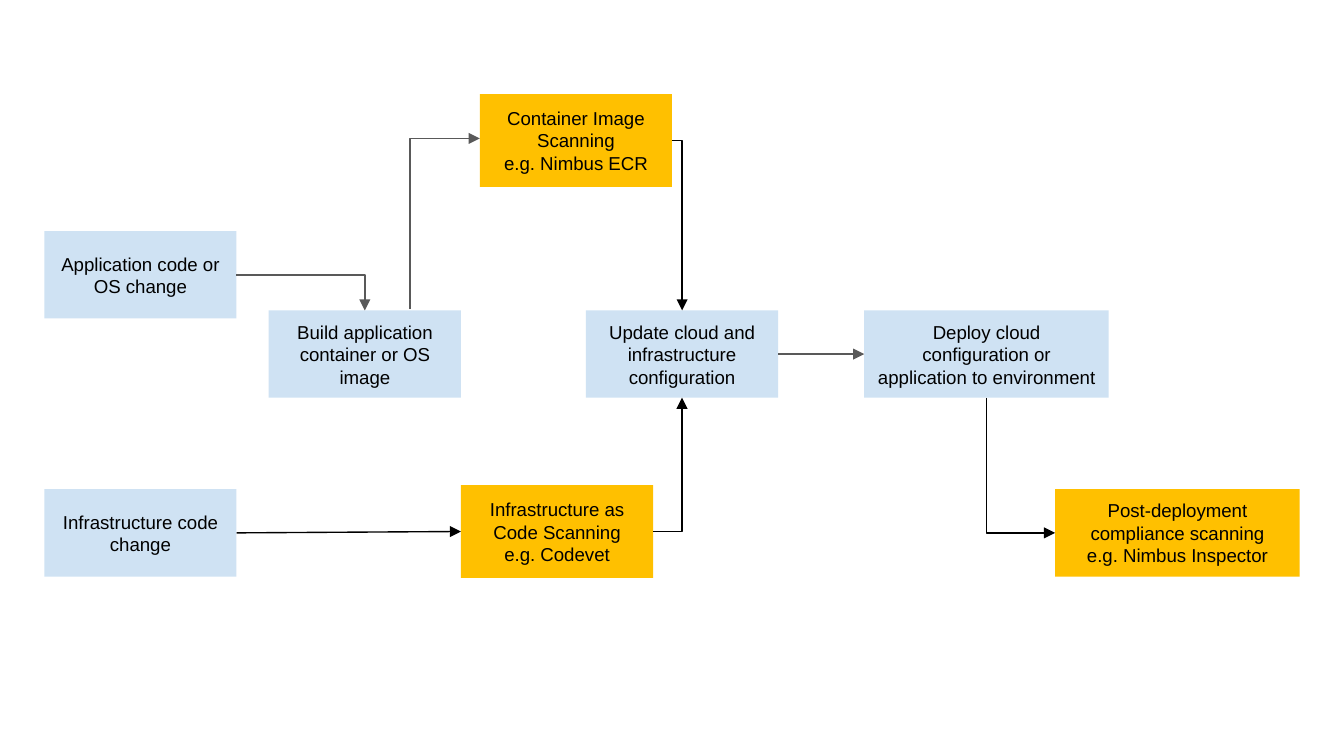
import pptx
import pptx.util
import pptx.dml.color
import pptx.enum.shapes
import pptx.enum.text
import lxml.etree

COLS = 1000
ROWS = COLS * 9 / 16
HUES = {"step": "CFE2F3", "scan": "FFC000", "text": "000000", "dark": "000000", "gray": "595959"}


class Flow:
    """Draws boxes and arrows on one slide, in cells of a fine grid."""

    def __init__(self, deck):
        self.slide = deck.slides.add_slide(deck.slide_layouts[6])
        self.wide = deck.slide_width / COLS
        self.high = deck.slide_height / ROWS
        inset = pptx.util.Inches(0.1)
        self.frame = {
            "word_wrap": True,
            "vertical_anchor": pptx.enum.text.MSO_ANCHOR.MIDDLE,
            "margin_left": inset, "margin_right": inset,
            "margin_top": inset, "margin_bottom": inset,
        }
        self.font = {"name": "Arial", "size": pptx.util.Pt(10)}

    def hue(self, name):
        return pptx.dml.color.RGBColor.from_string(HUES[name])

    def spot(self, x, y):
        return round(x * self.wide), round(y * self.high)

    def put(self, item, values):
        for key, value in values.items():
            setattr(item, key, value)

    def box(self, hue, x, y, w, h, *lines):
        kind = pptx.enum.shapes.MSO_SHAPE.RECTANGLE
        shape = self.slide.shapes.add_shape(kind, *self.spot(x, y), *self.spot(w, h))
        shape.shadow.inherit = False
        shape.fill.solid()
        shape.fill.fore_color.rgb = self.hue(hue)
        shape.line.fill.background()
        frame = shape.text_frame
        self.put(frame, self.frame)
        frame.text = "\n".join(lines)
        for para in frame.paragraphs:
            para.alignment = pptx.enum.text.PP_ALIGN.CENTER
            for run in para.runs:
                self.put(run.font, self.font)
                run.font.color.rgb = self.hue("text")
        return x, y, w, h

    def link(self, hue, start, end, shape="line"):
        (x, y), (u, v) = start, end
        if shape == "rise":
            mid, row, run, drop = (x + u) / 2, (y + v) / 2, (u - x) / 2, (v - y) / 2
            x, y, u, v = mid + drop, row - run, mid - drop, row + run
        kind = pptx.enum.shapes.MSO_CONNECTOR.STRAIGHT
        line = self.slide.shapes.add_connector(kind, *self.spot(x, y), *self.spot(u, v))
        line.line.width = pptx.util.Pt(0.75)
        line.line.color.rgb = self.hue(hue)
        props = line._element.spPr
        if shape != "line":
            props.prstGeom.set("prst", "bentConnector2")
        if shape == "rise":
            props.xfrm.set("rot", str(270 * 60000))
        tag = pptx.oxml.ns.qn
        lxml.etree.SubElement(line.line._get_or_add_ln(), tag("a:tailEnd"), type="triangle")
        lxml.etree.SubElement(props, tag("a:effectLst"))


def side(box, across, down=0.5):
    x, y, w, h = box
    return x + across * w, y + down * h


deck = pptx.Presentation()
deck.slide_width = pptx.util.Inches(10)
deck.slide_height = deck.slide_width * 9 // 16
flow = Flow(deck)

STEP, WIDE, LOW, TALL = 143, 182, 65, 69
MID, BASE = 231, 364
build = flow.box("step", 200, MID, STEP, LOW, "Build application container or OS image")
deploy = flow.box("step", 643, MID, WIDE, LOW,
                  "Deploy cloud configuration or application to environment")
update = flow.box("step", 436, MID, STEP, LOW, "Update cloud and infrastructure configuration")
app = flow.box("step", 33, 172, STEP, LOW, "Application code or OS change")
infra = flow.box("step", 33, BASE, STEP, LOW, "Infrastructure code change")
flow.link("gray", side(app, 1), side(build, 0.5, 0), "turn")
flow.link("gray", side(update, 1), side(deploy, 0))

image = flow.box("scan", 357, 70, STEP, TALL, "Container Image Scanning", "e.g. Nimbus ECR")
flow.link("gray", (305, 230), (357, 103), "rise")
code = flow.box("scan", 343, 361, STEP, TALL, "Infrastructure as Code Scanning", "e.g. Codevet")
flow.link("dark", side(infra, 1), side(code, 0))
flow.link("dark", side(code, 1), side(update, 0.5, 1), "turn")
flow.link("dark", side(image, 1), side(update, 0.5, 0), "turn")
post = flow.box("scan", 785, BASE, WIDE, LOW,
                "Post-deployment compliance scanning", "e.g. Nimbus Inspector")
flow.link("dark", side(deploy, 0.5, 1), side(post, 0), "rise")

deck.save("out.pptx")
